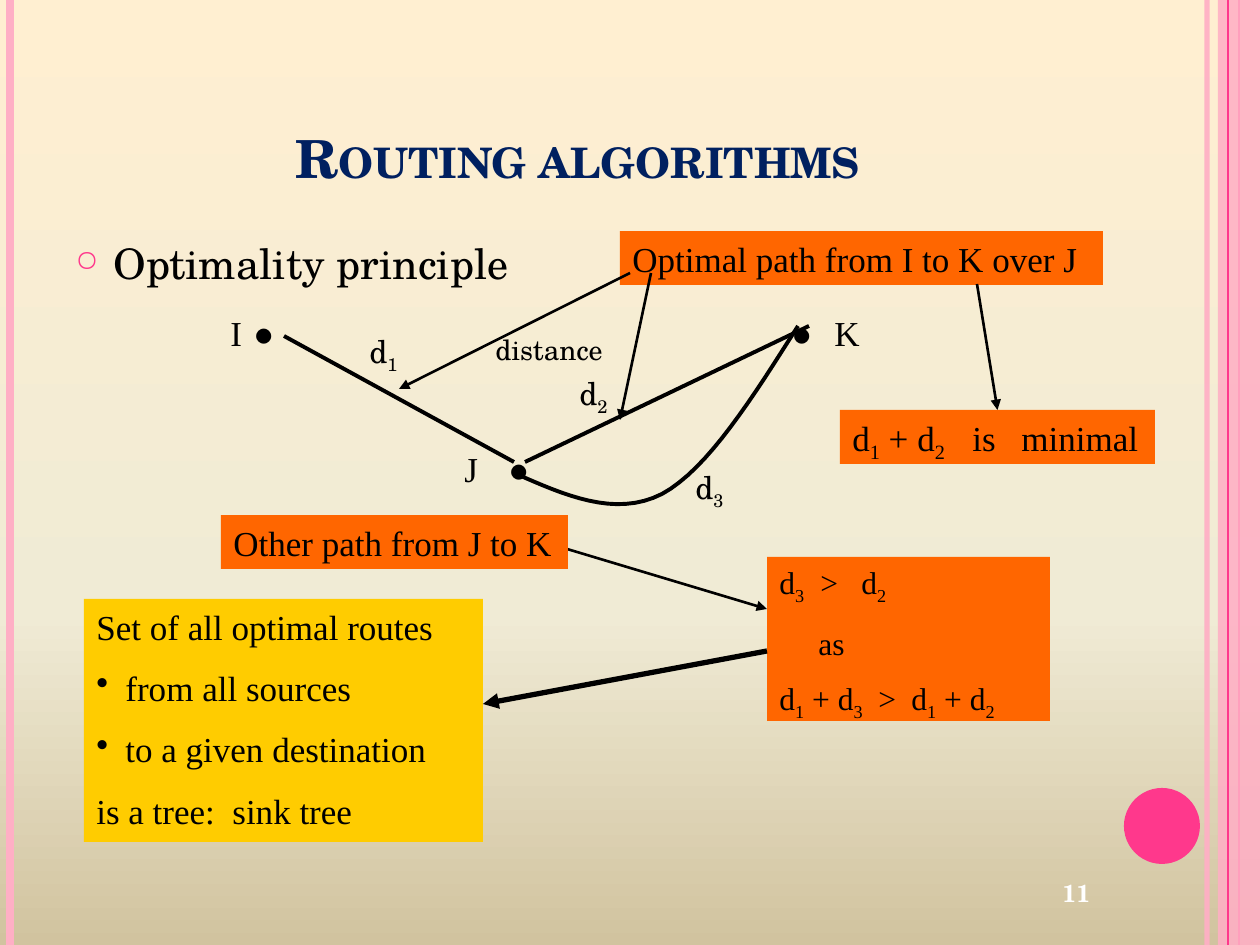
from copy import deepcopy

from pptx import Presentation
from pptx.dml.color import RGBColor
from pptx.enum.shapes import MSO_CONNECTOR, MSO_SHAPE
from pptx.enum.text import MSO_ANCHOR as Anchor, MSO_AUTO_SIZE as AutoSize, PP_ALIGN as Align
from pptx.oxml.ns import qn
from pptx.util import Pt
from lxml.etree import SubElement

SCALE = 914400 / 126
COLORS = {
    "black": "000000", "white": "FFFFFF", "navy": "002060",
    "pink": "FF388C", "pale": "FFAFC5", "orange": "FF6600", "yellow": "FFCC00",
    "cream": "FFEFD1", "ivory": "F0EBD5", "sand": "D1C39F",
}
BACKDROP = [(0, "cream"), (0.65, "ivory"), (1, "sand")]
SCHOLA, TIMES = "TeX Gyre Schola", "Times New Roman"


def px(length):
    return round(length * SCALE)


def rgb(name):
    return RGBColor.from_string(COLORS[name])


def set_alpha(color_parent, percent):
    color = color_parent.find(".//" + qn("a:srgbClr"))
    SubElement(color, qn("a:alpha"), val=str(percent * 1000))


def add_bullet(para, char, color=None, percent=100):
    props = para._p.get_or_add_pPr()
    if color:
        SubElement(SubElement(props, qn("a:buClr")), qn("a:srgbClr"), val=COLORS[color])
    SubElement(props, qn("a:buSzPct"), val=str(percent * 1000))
    SubElement(props, qn("a:buChar"), char=char)


def set_indent(para, left, first=0):
    props = para._p.get_or_add_pPr()
    props.set("marL", str(px(left)))
    props.set("indent", str(px(first)))


def add_tabs(para, stops):
    tab_list = SubElement(para._p.get_or_add_pPr(), qn("a:tabLst"))
    for stop in stops:
        SubElement(tab_list, qn("a:tab"), pos=str(px(stop)), algn="l")


def write(para, text, font=TIMES, size=20, color="black", bold=False, small_caps=False):
    """Add text to a paragraph; a digit after "_" becomes a subscript."""
    first, *rest = text.split("_")
    pieces = [(first, False)]
    for part in rest:
        pieces += [(part[0], True), (part[1:], False)]
    for piece, lowered in pieces:
        if not piece:
            continue
        span = para.add_run()
        span.text = piece
        span.font.name, span.font.size, span.font.bold = font, Pt(size), bold
        span.font.color.rgb = rgb(color)
        if lowered:
            span._r.get_or_add_rPr().set("baseline", "-25000")
        if small_caps:
            span._r.get_or_add_rPr().set("cap", "small")


def add_text(page, at, lines, align=Align.LEFT, anchor=Anchor.TOP, fill=None,
             grow=True, gap=11, **style):
    """Add a text box, or a filled rectangle, with one paragraph per line."""
    if fill:
        box = add_block(page, MSO_SHAPE.RECTANGLE, at, fill)
    else:
        box = page.shapes.add_textbox(*map(px, at))
    frame = box.text_frame
    frame.word_wrap = True
    frame.auto_size = AutoSize.SHAPE_TO_FIT_TEXT if grow else AutoSize.NONE
    frame.vertical_anchor = anchor
    for number, line in enumerate(lines):
        para = frame.add_paragraph() if number else frame.paragraphs[0]
        para.alignment = align
        if number:
            para.space_before = Pt(gap)
        write(para, line, **style)
    return box


def add_block(page, kind, at, fill):
    block = page.shapes.add_shape(kind, *map(px, at))
    block.shadow.inherit = False
    block.fill.solid()
    block.fill.fore_color.rgb = rgb(fill)
    block.line.fill.background()
    return block


def add_line(page, start, end, width, color="black", arrow=False):
    line = page.shapes.add_connector(MSO_CONNECTOR.STRAIGHT, *map(px, start + end))
    line.line.color.rgb = rgb(color)
    line.line.width = Pt(width)
    if arrow:
        SubElement(line.get_or_add_ln(), qn("a:tailEnd"), type="triangle")
    SubElement(line._element.spPr, qn("a:effectLst"))
    return line


def add_curve(page, start, bends, width, steps=16):
    """Trace cubic bends, each given as two control points and an end."""
    points = [start]
    for bend in bends:
        corners = [points[-1], *bend]
        for step in range(1, steps + 1):
            t = step / steps
            weights = [(1 - t) ** 3, 3 * t * (1 - t) ** 2, 3 * t * t * (1 - t), t ** 3]
            points.append(tuple(sum(w * c[axis] for w, c in zip(weights, corners))
                                for axis in (0, 1)))
    builder = page.shapes.build_freeform(*map(px, start))
    builder.add_line_segments([(px(x), px(y)) for x, y in points[1:]], close=False)
    curve = builder.convert_to_shape()
    curve.shadow.inherit = False
    curve.fill.background()
    curve.line.color.rgb = rgb("black")
    curve.line.width = Pt(width)


def paint_background(page):
    fill = page.background.fill
    fill.gradient()
    fill.gradient_angle = 270
    stop_list = page._element.find(".//" + qn("a:gsLst"))
    stop_list.append(deepcopy(stop_list[-1]))
    for stop, (position, color) in zip(fill.gradient_stops, BACKDROP):
        stop.position = position
        stop.color.rgb = rgb(color)


def add_frame(page):
    """Draw the side stripes, the dot and the slide number."""
    stripe = add_line(page, (1207, 0), (1207, 945), 3, "pale")
    set_alpha(stripe.get_or_add_ln(), 93)
    add_line(page, (10, 0), (10, 945), 4.5, "pale")
    add_line(page, (1239, 0), (1239, 945), 1.5, "pink")
    band = add_block(page, MSO_SHAPE.RECTANGLE, (1218, 0, 42, 945), "pale")
    set_alpha(band._element.spPr, 87)
    add_line(page, (1228, 0), (1228, 945), 0.75, "pink")
    add_block(page, MSO_SHAPE.OVAL, (1124, 788, 76, 76), "pink")
    add_text(page, (987, 861, 179, 63), ["11"], Align.CENTER, Anchor.MIDDLE, grow=False,
             font=SCHOLA, size=14, color="white", bold=True)


def add_headings(page):
    add_text(page, (63, 38, 1029, 157), ["Routing algorithms"], Align.CENTER, Anchor.BOTTOM,
             grow=False, font=SCHOLA, size=30, color="navy", bold=True, small_caps=True)
    body = add_text(page, (63, 221, 1029, 672), ["Optimality principle"], grow=False,
                    font=SCHOLA, size=24)
    para = body.text_frame.paragraphs[0]
    para.line_spacing = 1.2
    para.space_before = Pt(6)
    set_indent(para, 38, -38)
    add_bullet(para, "○", "pink", 70)


def add_comparison(page):
    add_line(page, (557, 546), (767, 609), 1.5, arrow=True)
    box = add_text(page, (767, 557, 283, 164), ["d_3\t>\td_2", "as", "d_1 + d_3\t>\td_1 + d_2"],
                   fill="orange", size=18, gap=10)
    top, middle, bottom = box.text_frame.paragraphs
    add_tabs(top, [41, 82])
    set_indent(middle, 39)
    add_tabs(bottom, [99, 132])


def add_graph(page):
    add_line(page, (284, 336), (514, 462), 2.25)
    add_line(page, (525, 462), (809, 326), 2.25)
    source = add_text(page, (200, 305, 116, 54), ["I"]).text_frame.paragraphs[0]
    set_indent(source, 18)
    write(source, " ●", font=SCHOLA)
    target = add_text(page, (777, 305, 126, 54), ["●\t"], font=SCHOLA).text_frame.paragraphs[0]
    add_tabs(target, [45])
    write(target, "K")
    add_text(page, (494, 441, 63, 54), ["●"], font=SCHOLA)
    add_text(page, (452, 441, 84, 54), ["J"])


def add_paths(page):
    add_text(page, (620, 231, 483, 54), ["Optimal path from I to K over J"], fill="orange")
    add_line(page, (630, 273), (399, 389), 1.5, arrow=True)
    add_line(page, (651, 273), (620, 420), 1.5, arrow=True)
    for label, at in [("d_1", (357, 326, 84, 50)), ("d_2", (567, 368, 84, 50)),
                      ("d_3", (683, 462, 74, 50))]:
        add_text(page, at, [label], font=SCHOLA, size=18)
    add_text(page, (483, 326, 179, 47), ["distance"], font=SCHOLA, size=16)

    arrow = add_line(page, (977, 284), (997, 410), 1.5, arrow=True)
    minimal = add_text(page, (840, 410, 315, 54), ["d_1 + d_2\tis\tminimal"], fill="orange")
    add_tabs(minimal.text_frame.paragraphs[0], [120, 169])
    arrow.end_connect(minimal, 0)

    add_curve(page, (514, 473), [[(564, 495), (615, 518), (662, 494)],
                                 [(708, 469), (753, 397), (798, 326)]], 2.25)
    add_text(page, (221, 515, 347, 54), ["Other path from J to K"], fill="orange")


def add_conclusion(page):
    box = add_text(page, (84, 599, 399, 243),
                   ["Set of all optimal routes", "from all sources",
                    "to a given destination", "is a tree:\tsink tree"], fill="yellow")
    paras = box.text_frame.paragraphs
    for para in paras[1:3]:
        set_indent(para, 29, -29)
        add_bullet(para, "•")
    add_tabs(paras[3], [136])
    add_line(page, (767, 651), (483, 704), 3, arrow=True)


def main():
    deck = Presentation()
    deck.slide_width, deck.slide_height = px(1260), px(945)
    page = deck.slides.add_slide(deck.slide_layouts[6])
    paint_background(page)
    for add_part in (add_frame, add_comparison, add_headings, add_graph, add_paths,
                     add_conclusion):
        add_part(page)
    deck.save("out.pptx")


if __name__ == "__main__":
    main()
